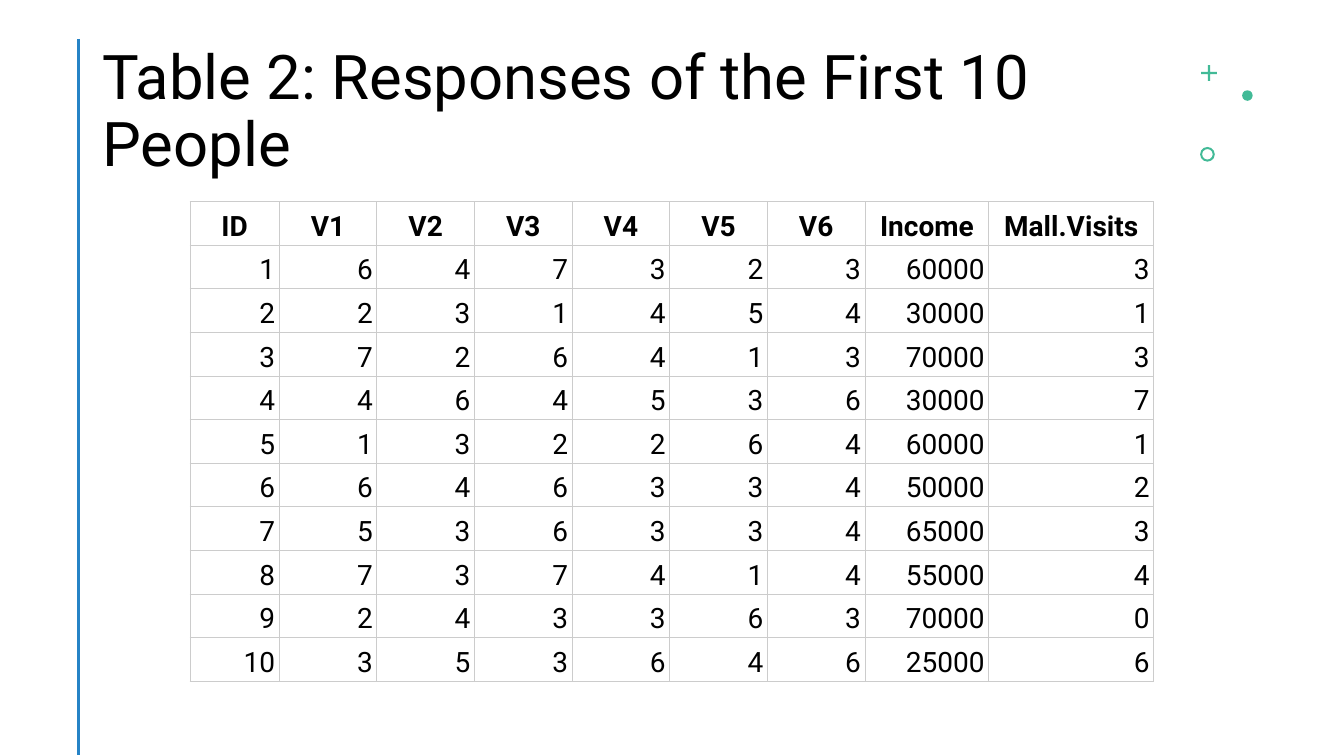
from lxml.etree import SubElement
from pptx import Presentation
from pptx.dml.color import RGBColor
from pptx.enum.shapes import MSO_CONNECTOR, MSO_SHAPE
from pptx.enum.text import MSO_ANCHOR, MSO_AUTO_SIZE, PP_ALIGN
from pptx.oxml.ns import qn
from pptx.util import Pt

PX = 9525
FONT = "Roboto"
COLORS = {"text": "000000", "rule": "2683C6", "accent": "42BA97", "grid": "CCCCCC"}
COL_WIDTHS = [85] + [93] * 6 + [118, 157]
HEADERS = ["ID", "V1", "V2", "V3", "V4", "V5", "V6", "Income", "Mall.Visits"]
RESPONSES = [
    [1, 6, 4, 7, 3, 2, 3, 60000, 3],
    [2, 2, 3, 1, 4, 5, 4, 30000, 1],
    [3, 7, 2, 6, 4, 1, 3, 70000, 3],
    [4, 4, 6, 4, 5, 3, 6, 30000, 7],
    [5, 1, 3, 2, 2, 6, 4, 60000, 1],
    [6, 6, 4, 6, 3, 3, 4, 50000, 2],
    [7, 5, 3, 6, 3, 3, 4, 65000, 3],
    [8, 7, 3, 7, 4, 1, 4, 55000, 4],
    [9, 2, 4, 3, 3, 6, 3, 70000, 0],
    [10, 3, 5, 3, 6, 4, 6, 25000, 6],
]


def px(n):
    return n * PX


def rgb(name):
    return RGBColor.from_string(COLORS[name])


def style_paragraph(p, size, align, bold=False):
    p.alignment = align
    p.font.name = FONT
    p.font.size = Pt(size)
    p.font.bold = bold
    p.font.color.rgb = rgb("text")


def add_title(slide, x, y, w, h, text):
    sp = slide.shapes.title
    sp.left, sp.top, sp.width, sp.height = px(x), px(y), px(w), px(h)
    tf = sp.text_frame
    tf.text = text
    tf.word_wrap = True
    tf.auto_size = MSO_AUTO_SIZE.NONE
    tf.vertical_anchor = MSO_ANCHOR.MIDDLE
    p = tf.paragraphs[0]
    style_paragraph(p, 44, PP_ALIGN.LEFT)
    p.line_spacing = 0.9


def add_side_rule(slide, x, y, h):
    line = slide.shapes.add_connector(
        MSO_CONNECTOR.STRAIGHT, px(x), px(y), px(x), px(y + h))
    line.line.color.rgb = rgb("rule")
    line.line.width = Pt(2)
    SubElement(line._element.spPr, qn("a:effectLst"))


def add_ornaments(slide, x, y):
    """Plus, dot and ring, placed from the cluster's top left corner."""
    marks = [
        (MSO_SHAPE.CROSS, 1, 0, 15, 0.43),
        (MSO_SHAPE.OVAL, 40, 24, 10, None),
        (MSO_SHAPE.DONUT, 0, 78, 14, 0.14),
    ]
    for kind, dx, dy, size, adjustment in marks:
        sp = slide.shapes.add_shape(kind, px(x + dx), px(y + dy), px(size), px(size))
        if adjustment is not None:
            sp.adjustments[0] = adjustment
        sp.shadow.inherit = False
        sp.fill.solid()
        sp.fill.fore_color.rgb = rgb("accent")
        sp.line.fill.background()


def add_borders(cell):
    tcPr = cell._tc.get_or_add_tcPr()
    for side in ("lnL", "lnR", "lnT", "lnB"):
        ln = SubElement(tcPr, qn(f"a:{side}"), w=str(Pt(0.75)))
        fill = SubElement(ln, qn("a:solidFill"))
        SubElement(fill, qn("a:srgbClr"), val=COLORS["grid"])


def fill_cell(cell, value, is_header):
    add_borders(cell)
    cell.fill.background()
    cell.margin_left = cell.margin_right = px(4)
    cell.margin_top = cell.margin_bottom = px(2)
    cell.vertical_anchor = MSO_ANCHOR.BOTTOM
    cell.text = str(value)
    align = PP_ALIGN.CENTER if is_header else PP_ALIGN.RIGHT
    style_paragraph(cell.text_frame.paragraphs[0], 20, align, is_header)


def add_response_table(slide, x, y, h):
    rows = [HEADERS] + RESPONSES
    table = slide.shapes.add_table(
        len(rows), len(HEADERS), px(x), px(y), px(sum(COL_WIDTHS)), px(h)).table
    table.first_row = table.horz_banding = False
    for column, width in zip(table.columns, COL_WIDTHS):
        column.width = px(width)
    for r, values in enumerate(rows):
        table.rows[r].height = px(h) // len(rows)
        for c, value in enumerate(values):
            fill_cell(table.cell(r, c), value, r == 0)


def main():
    prs = Presentation()
    prs.slide_width, prs.slide_height = px(1280), px(720)
    slide = prs.slides.add_slide(prs.slide_layouts[5])
    add_title(slide, 88, 38, 1033, 139, "Table 2: Responses of the First 10 People")
    add_side_rule(slide, 75, 37, 682)
    add_ornaments(slide, 1143, 62)
    add_response_table(slide, 181, 192, 457)
    prs.save("out.pptx")


if __name__ == "__main__":
    main()
